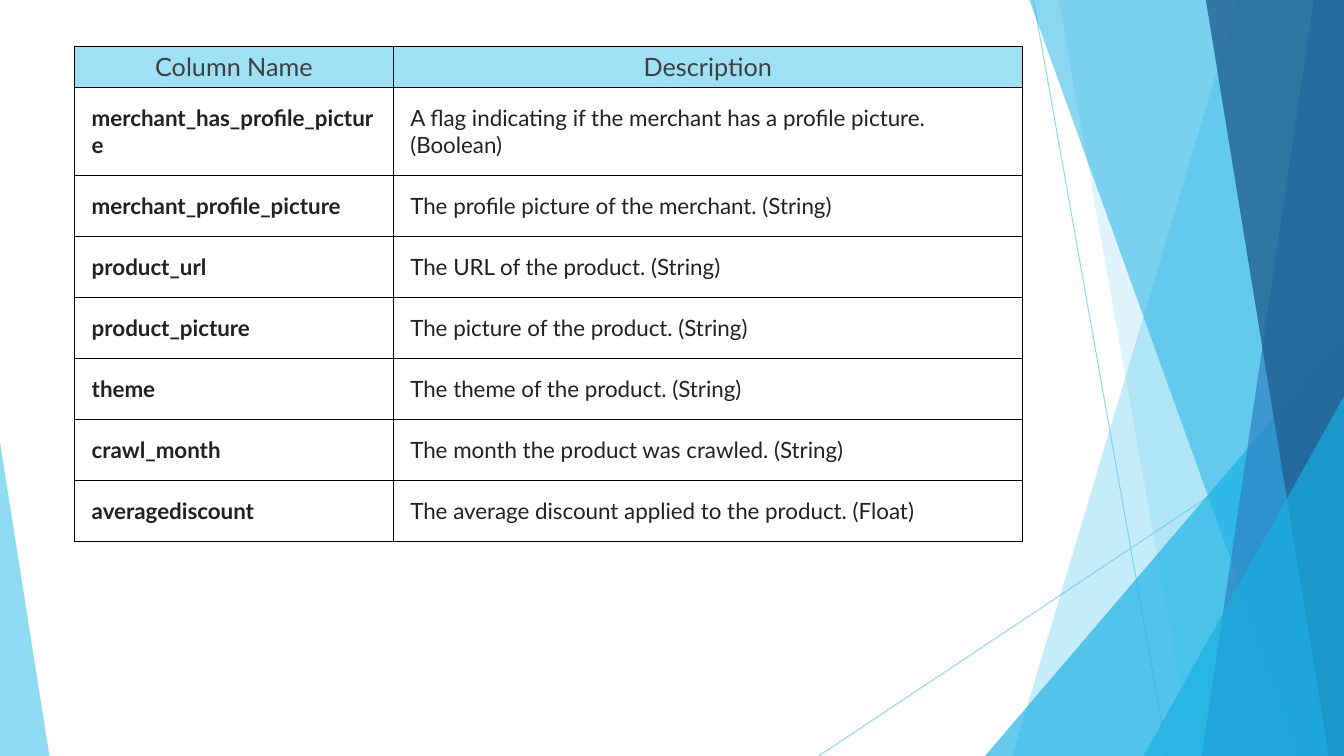
from typing import NamedTuple

from lxml.etree import SubElement
from pptx import Presentation
from pptx.dml.color import RGBColor
from pptx.enum.shapes import MSO_CONNECTOR, MSO_SHAPE
from pptx.enum.text import MSO_ANCHOR, PP_ALIGN
from pptx.oxml.ns import qn
from pptx.util import Inches, Pt

WIDE, HIGH = 13.33, 7.5
FONT = "Lato"
COLORS = {
    "sky": "5FCBEF",
    "cyan": "17B0E4",
    "blue": "2E83C3",
    "navy": "226292",
    "head": "9FE0F5",
    "title": "3C4043",
    "body": "202124",
    "rule": "000000",
}


class Ray(NamedTuple):
    """A thin line from one point to another."""
    x1: float
    y1: float
    x2: float
    y2: float


class Pane(NamedTuple):
    """A sheet with a slanted left side, reaching the right edge."""
    top: float
    base: float
    color: str
    alpha: int


class Wedge(NamedTuple):
    """A right triangle standing on the lower edge."""
    left: float
    top: float
    width: float
    apex: float
    color: str
    alpha: int


RAYS = [Ray(10.25, 0, 11.58, HIGH), Ray(WIDE, 4.03, 8.12, HIGH)]
DECOR = [
    Pane(12.28, 10.04, "sky", 36),
    Pane(10.5, 11.83, "sky", 20),
    Wedge(9.77, 3.33, 3.56, 1, "cyan", 66),
    Pane(10.21, 12.91, "cyan", 50),
    Pane(13.03, 11.92, "blue", 70),
    Pane(11.96, 13.18, "navy", 80),
    Wedge(11.34, 3.93, 1.99, 1, "cyan", 66),
    Wedge(0, 4.39, 0.49, 0, "sky", 70),
]
HEADS = ("Column Name", "Description")
FIELDS = [
    ("merchant_has_profile_picture",
     "A flag indicating if the merchant has a profile picture. (Boolean)"),
    ("merchant_profile_picture", "The profile picture of the merchant. (String)"),
    ("product_url", "The URL of the product. (String)"),
    ("product_picture", "The picture of the product. (String)"),
    ("theme", "The theme of the product. (String)"),
    ("crawl_month", "The month the product was crawled. (String)"),
    ("averagediscount", "The average discount applied to the product. (Float)"),
]
COLS = (3.16, 6.24)
ROW = 0.41
PAD = 0.17


def rgb(name: str) -> RGBColor:
    """Look up a named colour."""
    return RGBColor.from_string(COLORS[name])


def fade(shape, alpha: int) -> None:
    """Make the colours of a shape partly clear."""
    for color in shape.element.spPr.iter(qn("a:srgbClr")):
        SubElement(color, qn("a:alpha"), val=str(alpha * 1000))


def draw_ray(slide, ray: Ray) -> None:
    """Draw one thin line."""
    line = slide.shapes.add_connector(
        MSO_CONNECTOR.STRAIGHT, *(Inches(n) for n in ray))
    line.line.color.rgb = rgb("sky")
    line.line.width = Pt(0.75)
    fade(line, 70)
    SubElement(line.element.spPr, qn("a:effectLst"))


def draw_decor(slide, item: Pane | Wedge) -> None:
    """Draw one clear sheet or triangle."""
    if isinstance(item, Pane):
        edge = [(WIDE, 0), (WIDE, HIGH), (item.base, HIGH)]
        form = slide.shapes.build_freeform(Inches(item.top), 0)
        form.add_line_segments([(Inches(x), Inches(y)) for x, y in edge])
        shape = form.convert_to_shape()
    else:
        shape = slide.shapes.add_shape(
            MSO_SHAPE.ISOSCELES_TRIANGLE, Inches(item.left), Inches(item.top),
            Inches(item.width), Inches(HIGH - item.top))
        shape.adjustments[0] = item.apex
    shape.shadow.inherit = False
    shape.fill.solid()
    shape.fill.fore_color.rgb = rgb(item.color)
    shape.line.fill.background()
    fade(shape, item.alpha)


def write(frame, text: str, *, size: int, color: str, bold: bool = False,
          align: PP_ALIGN = PP_ALIGN.LEFT) -> None:
    """Put formatted text in a text frame."""
    para = frame.paragraphs[0]
    para.alignment = align
    run = para.add_run()
    run.text = text
    run.font.name = FONT
    run.font.size = Pt(size)
    run.font.bold = bold
    run.font.color.rgb = rgb(color)


def frame_cell(cell) -> None:
    """Give a cell a rule on each side."""
    props = cell._tc.get_or_add_tcPr()
    for side in ("lnL", "lnR", "lnT", "lnB"):
        line = SubElement(props, qn(f"a:{side}"), w=str(Pt(1)))
        fill = SubElement(line, qn("a:solidFill"))
        SubElement(fill, qn("a:srgbClr"), val=COLORS["rule"])


def draw_table(slide) -> None:
    """Draw the table of columns and what they mean."""
    rows = [HEADS, *FIELDS]
    table = slide.shapes.add_table(
        len(rows), len(COLS), Inches(0.74), Inches(0.46),
        Inches(sum(COLS)), Inches(ROW * len(rows))).table
    table.first_row = table.horz_banding = False
    for col, width in zip(table.columns, COLS):
        col.width = Inches(width)
    for r, texts in enumerate(rows):
        table.rows[r].height = Inches(ROW)
        for c, text in enumerate(texts):
            cell = table.cell(r, c)
            frame_cell(cell)
            if r == 0:
                cell.fill.solid()
                cell.fill.fore_color.rgb = rgb("head")
                write(cell.text_frame, text, size=18, color="title",
                      align=PP_ALIGN.CENTER)
                continue
            cell.fill.background()
            cell.vertical_anchor = MSO_ANCHOR.MIDDLE
            cell.margin_left = cell.margin_right = Inches(PAD)
            cell.margin_top = cell.margin_bottom = Inches(PAD)
            write(cell.text_frame, text, size=16, color="body", bold=c == 0)


def main() -> None:
    """Build and save the slide."""
    deck = Presentation()
    deck.slide_width, deck.slide_height = Inches(WIDE), Inches(HIGH)
    slide = deck.slides.add_slide(deck.slide_layouts[6])
    for ray in RAYS:
        draw_ray(slide, ray)
    for item in DECOR:
        draw_decor(slide, item)
    draw_table(slide)
    deck.save("out.pptx")


main()
